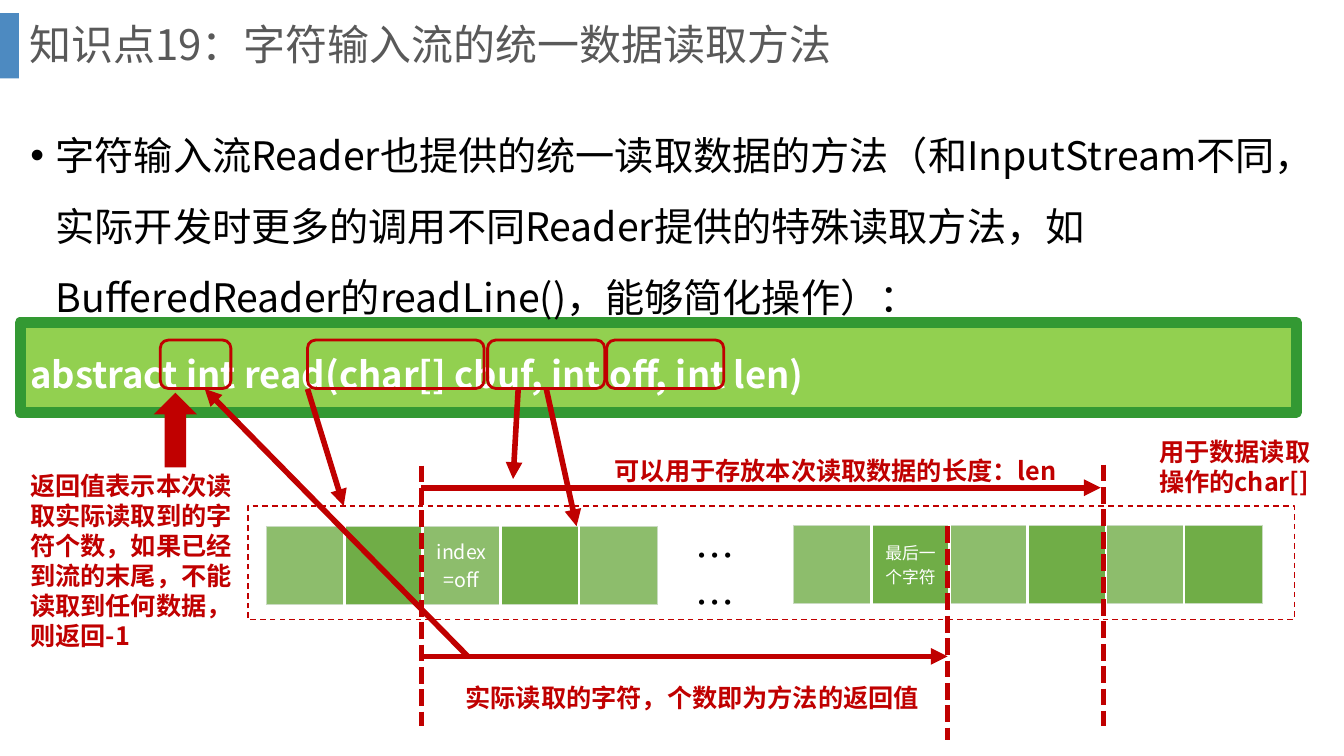
import dataclasses

import lxml.etree
import pptx
import pptx.dml.color
import pptx.enum.dml
import pptx.enum.shapes
import pptx.enum.text
import pptx.oxml.ns
import pptx.util

Cm = pptx.util.Cm
Pt = pptx.util.Pt
qn = pptx.oxml.ns.qn
SHAPE = pptx.enum.shapes.MSO_SHAPE
DASH = pptx.enum.dml.MSO_LINE
ANCHOR = pptx.enum.text.MSO_ANCHOR
ALIGN = pptx.enum.text.PP_ALIGN


@dataclasses.dataclass(frozen=True)
class Theme:
    font: str = "Noto Sans CJK SC"
    black: str = "000000"
    white: str = "FFFFFF"
    heading: str = "595959"
    accent: str = "4D8AC1"
    red: str = "C00000"
    banner: str = "92D050"
    banner_edge: str = "339933"
    cell_light: str = "8DBD6C"
    cell_dark: str = "70AD47"
    cell_edge: str = "C9DBC1"
    title_size: int = 30
    body_size: int = 28
    code_size: int = 26
    label_size: int = 18
    index_size: int = 14
    last_size: int = 12


THEME = Theme()


def rgb(value):
    return pptx.dml.color.RGBColor.from_string(value)


def set_all(target, values):
    for name, value in values.items():
        setattr(target, name, value)


def place(shape, left, top, width, height):
    set_all(shape, {"left": Cm(left), "top": Cm(top), "width": Cm(width), "height": Cm(height)})


# Text
def write(para, text, size, color, bold=False, **layout):
    set_all(para, layout)
    span = para.add_run()
    span.text = text
    span.font.color.rgb = rgb(color)
    set_all(span.font, {"size": Pt(size), "bold": bold, "name": THEME.font})
    east_asian = lxml.etree.SubElement(span.font._element, qn("a:ea"))
    east_asian.set("typeface", THEME.font)


def set_bullet(para, symbol=None):
    properties = para._p.get_or_add_pPr()
    properties.set("marL", str(Cm(0.64)))
    properties.set("indent", str(-Cm(0.64)))
    if symbol:
        font = lxml.etree.SubElement(properties, qn("a:buFont"))
        font.set("typeface", "Arial")
        lxml.etree.SubElement(properties, qn("a:buChar")).set("char", symbol)
    else:
        lxml.etree.SubElement(properties, qn("a:buNone"))


def add_label(page, box, text, size=THEME.label_size, color=THEME.red, bold=True, pitch=21.5):
    label = page.shapes.add_textbox(*map(Cm, box))
    label.text_frame.word_wrap = True
    write(label.text_frame.paragraphs[0], text, size, color, bold, line_spacing=Pt(pitch))


# Shapes and lines
def add_box(page, kind, box, fill=None, edge=None, width=1, dash=None):
    shape = page.shapes.add_shape(kind, *map(Cm, box))
    shape.shadow.inherit = False
    if fill:
        shape.fill.solid()
        shape.fill.fore_color.rgb = rgb(fill)
    else:
        shape.fill.background()
    if edge:
        shape.line.color.rgb = rgb(edge)
        set_all(shape.line, {"width": Pt(width), "dash_style": dash})
    else:
        shape.line.fill.background()
    return shape


def add_line(page, ends, arrow=True, dash=None):
    straight = pptx.enum.shapes.MSO_CONNECTOR.STRAIGHT
    line = page.shapes.add_connector(straight, *map(Cm, ends))
    line.line.color.rgb = rgb(THEME.red)
    set_all(line.line, {"width": Pt(4), "dash_style": dash})
    if arrow:
        outline = line.line._get_or_add_ln()
        lxml.etree.SubElement(outline, qn("a:tailEnd")).set("type", "triangle")
    lxml.etree.SubElement(line._element.spPr, qn("a:effectLst"))
    return line


# Character arrays
def add_border(cell, side, color, width):
    border = lxml.etree.SubElement(cell._tc.get_or_add_tcPr(), qn("a:" + side))
    border.set("w", str(Pt(width)))
    fill = lxml.etree.SubElement(border, qn("a:solidFill"))
    lxml.etree.SubElement(fill, qn("a:srgbClr")).set("val", color)


def add_array(page, left, top, count, marked, text, size, pitch):
    side = 1.97
    table = page.shapes.add_table(1, count, Cm(left), Cm(top), Cm(side * count), Cm(side)).table
    set_all(table, {"first_row": False, "horz_banding": False})
    thin, thick = (THEME.cell_edge, 0.5), (THEME.white, 2.25)
    for column in range(count):
        table.columns[column].width = Cm(side)
        cell = table.cell(0, column)
        add_border(cell, "lnL", *(thin if column == 0 else thick))
        add_border(cell, "lnR", *(thin if column == count - 1 else thick))
        add_border(cell, "lnT", *thin)
        add_border(cell, "lnB", *thin)
        cell.fill.solid()
        cell.fill.fore_color.rgb = rgb(THEME.cell_dark if column % 2 else THEME.cell_light)
        cell.vertical_anchor = ANCHOR.MIDDLE
    write(table.cell(0, marked).text_frame.paragraphs[0], text, size, THEME.white,
          alignment=ALIGN.CENTER, line_spacing=Pt(pitch))


def fill_placeholders(page):
    title, body = page.placeholders
    place(title, 0.48, 0, 32.16, 2.36)
    place(body, 0.51, 2.57, 32.77, 15.06)
    for holder, anchor in ((title, ANCHOR.MIDDLE), (body, ANCHOR.TOP)):
        set_all(holder.text_frame, {"vertical_anchor": anchor, "word_wrap": True,
                                    "auto_size": pptx.enum.text.MSO_AUTO_SIZE.NONE})
    write(title.text_frame.paragraphs[0], "知识点19：字符输入流的统一数据读取方法",
          THEME.title_size, THEME.heading, alignment=ALIGN.LEFT, line_spacing=0.9)
    intro = body.text_frame.paragraphs[0]
    write(intro, "字符输入流Reader也提供的统一读取数据的方法（和InputStream不同，"
          "实际开发时更多的调用不同Reader提供的特殊读取方法，"
          "如BufferedReader的readLine()，能够简化操作）：",
          THEME.body_size, THEME.black, line_spacing=Pt(50.7), space_before=Pt(0))
    set_bullet(intro, "•")
    code = body.text_frame.add_paragraph()
    write(code, "abstract int read(char[] cbuf, int off, int len)", THEME.code_size,
          THEME.white, True, level=1, line_spacing=Pt(44), space_before=Pt(10))
    set_bullet(code)
    return title


def main():
    deck = pptx.Presentation()
    set_all(deck, {"slide_width": Cm(33.87), "slide_height": Cm(19.05)})
    page = deck.slides.add_slide(deck.slide_layouts[1])
    title = fill_placeholders(page)

    # Bars behind the text
    accent = add_box(page, SHAPE.RECTANGLE, (0, 0.33, 0.48, 1.65), THEME.accent)
    banner = add_box(page, SHAPE.RECTANGLE, (0.51, 8.13, 32.16, 2.26),
                     THEME.banner, THEME.banner_edge, 8)
    for bar in (accent, banner):
        title.element.addprevious(bar.element)

    # Arrays and their frame
    add_array(page, 6.71, 13.26, 5, 2, "index=off", THEME.index_size, 20)
    add_array(page, 19.99, 13.23, 6, 1, "最后一个字符", THEME.last_size, 17)
    add_label(page, (17.27, 13.26, 2.57, 1.45), "… …", THEME.body_size, THEME.black, False, 33.6)
    add_box(page, SHAPE.RECTANGLE, (6.25, 12.75, 26.37, 2.87), None, THEME.red, 1, DASH.DASH)

    # Marked parts of the signature
    marks = [add_box(page, SHAPE.ROUNDED_RECTANGLE, (left, 8.57, width, 1.22),
                     None, THEME.red, 2)
             for left, width in ((4.04, 1.78), (7.75, 4.45), (12.29, 2.95), (15.29, 2.95))]
    return_arrow = add_box(page, SHAPE.RIGHT_ARROW, (3.48, 10.29, 1.88, 1.09), THEME.red)
    return_arrow.rotation = 270

    # Range limits
    for x, top, bottom in ((10.62, 11.73, 18.29), (27.81, 11.71, 18.29), (23.88, 13.26, 18.64)):
        add_line(page, (x, top, x, bottom), arrow=False, dash=DASH.SQUARE_DOT)

    # Arrows
    for ends in ((7.75, 9.8, 8.66, 12.75), (10.62, 12.29, 27.74, 12.29),
                 (10.64, 16.54, 23.88, 16.54), (13.06, 9.78, 12.93, 12.07),
                 (11.79, 16.54, 5.16, 9.8)):
        add_line(page, ends)
    add_line(page, (13.76, 9.79, 14.53, 13.26)).begin_connect(marks[2], 2)

    # Explanations
    for box, text in (
        ((0.51, 11.73, 6.02, 4.88),
         "返回值表示本次读取实际读取到的字符个数，如果已经到流的末尾，不能读取到任何数据，则返回-1"),
        ((28.96, 10.87, 4.42, 1.8), "用于数据读取操作的char[]"),
        ((15.24, 11.35, 12.24, 1.02), "可以用于存放本次读取数据的长度：len"),
        ((11.48, 17.07, 12.4, 1.02), "实际读取的字符，个数即为方法的返回值"),
    ):
        add_label(page, box, text)

    deck.save("out.pptx")


if __name__ == "__main__":
    main()
